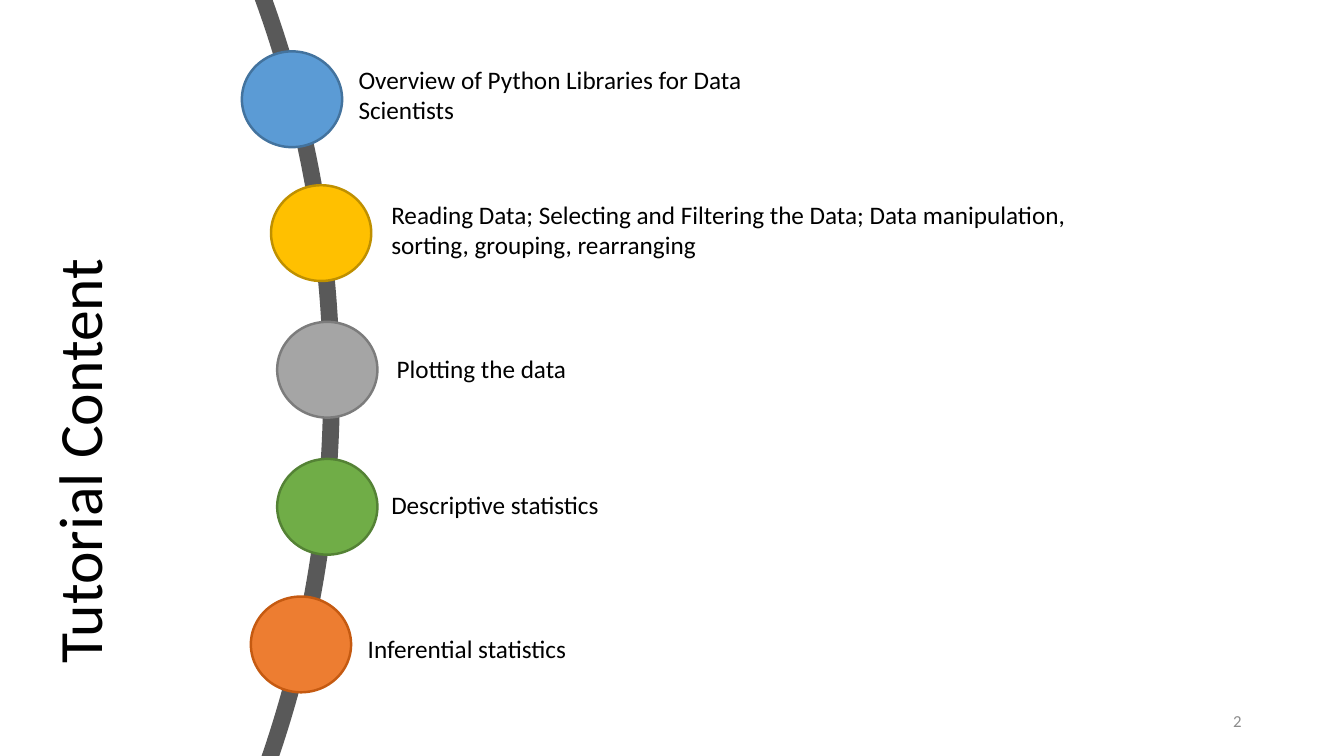
"""Build the tutorial content slide with five topics along an arc."""
from dataclasses import dataclass

from pptx import Presentation
from pptx.dml.color import RGBColor
from pptx.enum.shapes import MSO_SHAPE as Shape
from pptx.enum.text import MSO_ANCHOR as Anchor, PP_ALIGN as Align
from pptx.util import Pt


@dataclass(frozen=True)
class Theme:
    font: str = "Calibri"
    text: str = "000000"
    muted: str = "8C8C8C"
    arc: str = "595959"
    blue: tuple = ("5B9BD5", "43739E")
    gold: tuple = ("FFC000", "BF9000")
    gray: tuple = ("A5A5A5", "7C7C7C")
    green: tuple = ("70AD47", "548235")
    orange: tuple = ("ED7D31", "C55A11")
    title_size: int = 44
    label_size: int = 18
    number_size: int = 12


theme = Theme()
presentation = Presentation()
presentation.slide_width = Pt(960)
presentation.slide_height = Pt(540)
slide = presentation.slides.add_slide(presentation.slide_layouts[6])


def add_text(text, box, size, color=theme.text, anchor=Anchor.TOP, align=Align.LEFT):
    shape = slide.shapes.add_textbox(*map(Pt, box))
    text_frame = shape.text_frame
    text_frame.text = text
    text_frame.word_wrap = True
    text_frame.vertical_anchor = anchor
    paragraph = text_frame.paragraphs[0]
    paragraph.alignment = align
    font = paragraph.runs[0].font
    font.name = theme.font
    font.size = Pt(size)
    font.color.rgb = RGBColor.from_string(color)
    return shape


def add_ellipse(box, line, weight, fill=None):
    shape = slide.shapes.add_shape(Shape.OVAL, *map(Pt, box))
    shape.shadow.inherit = False
    if fill:
        shape.fill.solid()
        shape.fill.fore_color.rgb = RGBColor.from_string(fill)
    else:
        shape.fill.background()
    shape.line.color.rgb = RGBColor.from_string(line)
    shape.line.width = Pt(weight)


title = add_text("Tutorial Content", (-160.6, 209.5, 438.5, 104.4),
                 theme.title_size, anchor=Anchor.MIDDLE)
title.rotation = 270
title.text_frame.paragraphs[0].line_spacing = 0.9

add_text("2", (678, 500.5, 216, 28.8), theme.number_size, theme.muted,
         Anchor.MIDDLE, Align.RIGHT)

add_ellipse((-1395.4, -539.3, 1632.2, 1632.2), theme.arc, 12)

topics = [
    ("Overview of Python Libraries for Data Scientists",
     theme.blue, (172.8, 36.7), (249, 42.5, 330.5, 51)),
    ("Reading Data; Selecting and Filtering the Data; Data manipulation, "
     "sorting, grouping, rearranging",
     theme.gold, (193.6, 132.3), (272.4, 138.5, 553.7, 51)),
    ("Plotting the data",
     theme.gray, (198, 229.9), (276.2, 249, 415.4, 29)),
    ("Descriptive statistics",
     theme.green, (198, 327.8), (272.4, 345.6, 415.4, 29)),
    ("Inferential statistics",
     theme.orange, (179.2, 426.1), (255.6, 448.8, 415.4, 29)),
]
for label, (fill, outline), corner, label_box in topics:
    add_ellipse((*corner, 71.6, 68.4), outline, 1.75, fill)
    add_text(label, label_box, theme.label_size)

presentation.save("out.pptx")
